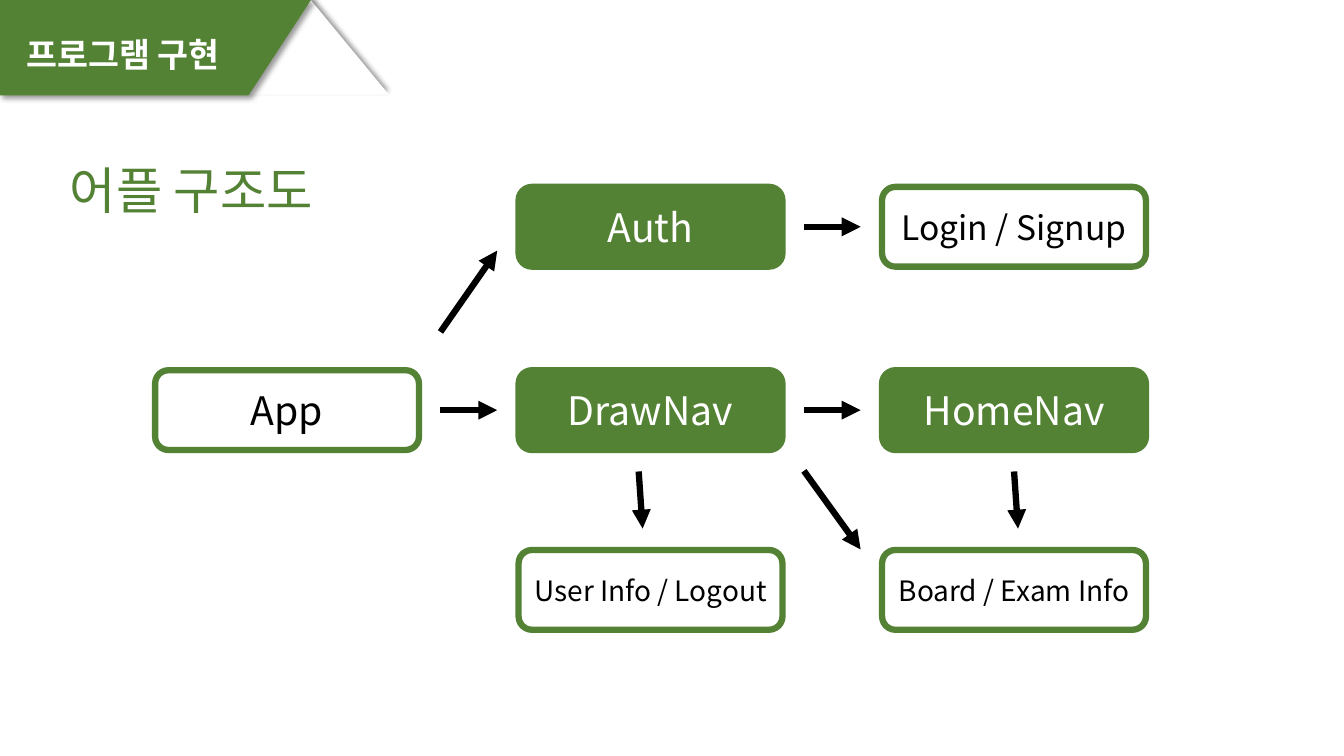
from pptx import Presentation
from pptx.dml.color import RGBColor
from pptx.enum.shapes import MSO_CONNECTOR, MSO_SHAPE
from pptx.enum.text import MSO_ANCHOR, MSO_AUTO_SIZE, PP_ALIGN
from pptx.oxml import parse_xml
from pptx.oxml.ns import nsdecls
from pptx.util import Cm, Pt

FONT = "Noto Sans CJK KR"
GREEN = RGBColor(0x54, 0x82, 0x35)
WHITE = RGBColor(0xFF, 0xFF, 0xFF)
BLACK = RGBColor(0, 0, 0)

TITLE = "프로그램 구현"
SUBTITLE = "어플 구조도"

# Banner: center x, center y, width, height before rotation, color, mirrored, shadow angle
BANNER = [
    (4.89, 1.19, 2.36, 9.75, WHITE, False, 270),
    (3.91, 1.19, 2.39, 7.82, GREEN, True, 45),
]

# Box: column, row, text size, filled
BOXES = {
    "App": (0, 1, 28, False),
    "DrawNav": (1, 1, 28, True),
    "HomeNav": (2, 1, 28, True),
    "Auth": (1, 0, 28, True),
    "Login / Signup": (2, 0, 24, False),
    "Board / Exam Info": (2, 2, 20, False),
    "User Info / Logout": (1, 2, 20, False),
}

# Arrow to the next column: from, to, start and end height relative to box centers
ACROSS = [
    ("App", "DrawNav", 0, 0),
    ("App", "Auth", -1.97, 0.6),
    ("Auth", "Login / Signup", 0, 0),
    ("DrawNav", "HomeNav", 0, 0),
    ("DrawNav", "Board / Exam Info", 1.53, -1.02),
]
# Arrow to the row below: from, to, start and end relative to the column center
DOWN = [
    ("DrawNav", "User Info / Logout", -0.3, -0.2),
    ("HomeNav", "Board / Exam Info", 0, 0.1),
]

BOX_WIDTH, BOX_HEIGHT = 6.65, 2.01
FIRST_COLUMN, COLUMN_STEP = 3.91, 9.16
ROW_TOPS = [4.71, 9.33, 13.86]
ARROW_GAP = 0.54


def box_center(name):
    column, row = BOXES[name][:2]
    return (FIRST_COLUMN + column * COLUMN_STEP + BOX_WIDTH / 2,
            ROW_TOPS[row] + BOX_HEIGHT / 2)


def write(shape, text, size, color, alignment=PP_ALIGN.CENTER, bold=False):
    shape.text_frame.text = text
    paragraph = shape.text_frame.paragraphs[0]
    paragraph.alignment = alignment
    font = paragraph.font
    font.name, font.size, font.bold = FONT, Pt(size), bold
    font.color.rgb = color
    latin = paragraph._p.pPr.find(".//{*}latin")
    latin.addnext(parse_xml(f'<a:ea {nsdecls("a")} typeface="{FONT}"/>'))
    return paragraph


def paint(shape, fill, line, width):
    shape.shadow.inherit = False
    shape.fill.solid()
    shape.fill.fore_color.rgb = fill
    shape.line.color.rgb = line
    shape.line.width = Pt(width)


def add_banner(shapes, center_x, center_y, width, height, color, mirrored, angle):
    shape = shapes.add_shape(
        MSO_SHAPE.FLOWCHART_MANUAL_INPUT, Cm(center_x - width / 2),
        Cm(center_y - height / 2), Cm(width), Cm(height))
    paint(shape, color, color, 1)
    shape.rotation = 90
    properties = shape.element.spPr
    if mirrored:
        properties.find("{*}xfrm").set("flipH", "1")
    properties.find("{*}effectLst").append(parse_xml(
        f'<a:outerShdw {nsdecls("a")} blurRad="{Pt(4)}" dist="{Pt(3)}" '
        f'dir="{angle * 60000}" rotWithShape="0"><a:srgbClr val="000000">'
        '<a:alpha val="40000"/></a:srgbClr></a:outerShdw>'))


def add_arrow(shapes, start, end):
    arrow = shapes.add_connector(
        MSO_CONNECTOR.STRAIGHT, *(Cm(value) for value in (*start, *end)))
    arrow.line.color.rgb = BLACK
    arrow.line.width = Pt(4.5)
    arrow.line._get_or_add_ln().append(
        parse_xml(f'<a:tailEnd {nsdecls("a")} type="triangle"/>'))
    arrow._element.spPr.append(parse_xml(f'<a:effectLst {nsdecls("a")}/>'))


def main():
    presentation = Presentation()
    presentation.slide_width, presentation.slide_height = Cm(33.87), Cm(19.05)
    slide = presentation.slides.add_slide(presentation.slide_layouts[5])
    shapes = slide.shapes

    title = shapes.title
    for banner in BANNER:
        add_banner(shapes, *banner)
    shapes[-1].element.addnext(title.element)  # title in front of the banner
    title.left, title.top, title.width, title.height = Cm(0.41), Cm(0.56), Cm(8.33), Cm(1.75)
    title.text_frame.vertical_anchor = MSO_ANCHOR.MIDDLE
    write(title, TITLE, 24, WHITE, PP_ALIGN.LEFT, True).line_spacing = 0.9

    subtitle = shapes.add_textbox(Cm(0.38), Cm(3.89), Cm(8.89), Cm(1.8))
    subtitle.text_frame.word_wrap = True
    subtitle.text_frame.auto_size = MSO_AUTO_SIZE.SHAPE_TO_FIT_TEXT
    write(subtitle, SUBTITLE, 36, GREEN)

    for name, (column, row, size, filled) in BOXES.items():
        box = shapes.add_shape(
            MSO_SHAPE.ROUNDED_RECTANGLE, Cm(FIRST_COLUMN + column * COLUMN_STEP),
            Cm(ROW_TOPS[row]), Cm(BOX_WIDTH), Cm(BOX_HEIGHT))
        paint(box, GREEN if filled else WHITE, GREEN, 4.5)
        box.text_frame.vertical_anchor = MSO_ANCHOR.MIDDLE
        write(box, name, size, WHITE if filled else BLACK)

    reach_x = BOX_WIDTH / 2 + ARROW_GAP
    reach_y = BOX_HEIGHT / 2 + ARROW_GAP
    for source, target, start_shift, end_shift in ACROSS:
        (x1, y1), (x2, y2) = box_center(source), box_center(target)
        add_arrow(shapes, (x1 + reach_x, y1 + start_shift), (x2 - reach_x, y2 + end_shift))
    for source, target, start_shift, end_shift in DOWN:
        (x1, y1), (x2, y2) = box_center(source), box_center(target)
        add_arrow(shapes, (x1 + start_shift, y1 + reach_y), (x2 + end_shift, y2 - reach_y))

    presentation.save("out.pptx")


if __name__ == "__main__":
    main()
